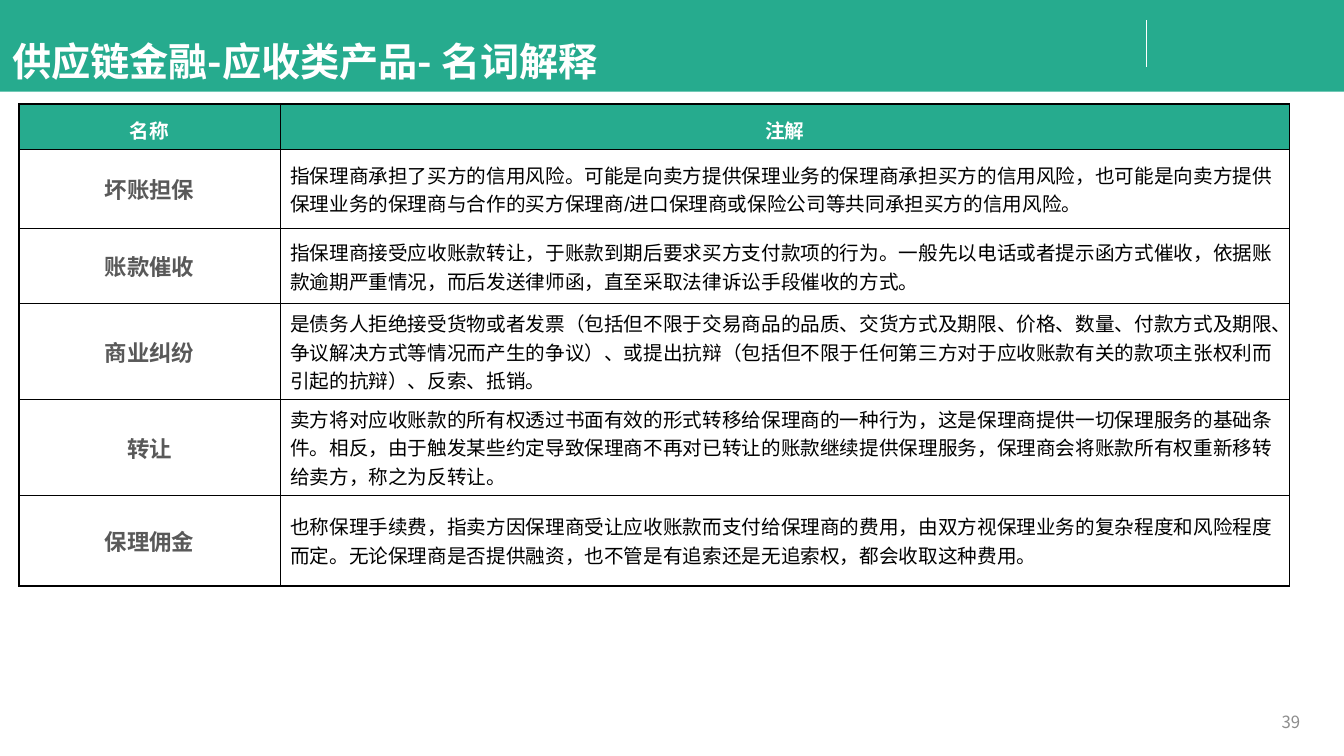
import pptx
import pptx.util
import pptx.dml.color
import pptx.enum.lang
import pptx.enum.shapes
import pptx.enum.text
import pptx.oxml.ns
import lxml.etree

Cm = pptx.util.Cm
Pt = pptx.util.Pt
Align = pptx.enum.text.PP_ALIGN
Anchor = pptx.enum.text.MSO_ANCHOR
qn = pptx.oxml.ns.qn

GREEN, WHITE, BLACK = "26AB8E", "FFFFFF", "000000"
DARK_GREY, LIGHT_GREY = "595959", "8C8C8C"
CHINESE_FONT = "Noto Sans CJK SC"

TERMS = [
    ("坏账担保", "指保理商承担了买方的信用风险。可能是向卖方提供保理业务的保理商承担买方的信用风险，也可能是向卖方提供保理业务的保理商与合作的买方保理商/进口保理商或保险公司等共同承担买方的信用风险。"),
    ("账款催收", "指保理商接受应收账款转让，于账款到期后要求买方支付款项的行为。一般先以电话或者提示函方式催收，依据账款逾期严重情况，而后发送律师函，直至采取法律诉讼手段催收的方式。"),
    ("商业纠纷", "是债务人拒绝接受货物或者发票（包括但不限于交易商品的品质、交货方式及期限、价格、数量、付款方式及期限、争议解决方式等情况而产生的争议）、或提出抗辩（包括但不限于任何第三方对于应收账款有关的款项主张权利而引起的抗辩）、反索、抵销。"),
    ("转让", "卖方将对应收账款的所有权透过书面有效的形式转移给保理商的一种行为，这是保理商提供一切保理服务的基础条件。相反，由于触发某些约定导致保理商不再对已转让的账款继续提供保理服务，保理商会将账款所有权重新移转给卖方，称之为反转让。"),
    ("保理佣金", "也称保理手续费，指卖方因保理商受让应收账款而支付给保理商的费用，由双方视保理业务的复杂程度和风险程度而定。无论保理商是否提供融资，也不管是有追索还是无追索权，都会收取这种费用。"),
]


def color(value):
    return pptx.dml.color.RGBColor.from_string(value)


def write(frame, text, size=14, ink=BLACK, bold=False, align=Align.LEFT,
          latin=CHINESE_FONT):
    frame.word_wrap = True
    para = frame.paragraphs[0]
    para.alignment = align
    span = para.add_run()
    span.text = text
    font = span.font
    font.size = Pt(size)
    font.bold = bold
    font.name = latin
    font.color.rgb = color(ink)
    font.language_id = pptx.enum.lang.MSO_LANGUAGE_ID.SIMPLIFIED_CHINESE
    properties = span._r.get_or_add_rPr()
    properties.find(qn("a:latin")).addnext(
        properties.makeelement(qn("a:ea"), {"typeface": CHINESE_FONT}))


class GlossaryPage:
    def __init__(self, deck):
        self.page = deck.slides.add_slide(deck.slide_layouts[5])
        self.shapes = self.page.shapes

    def band(self, left, top, width, height, fill):
        box = self.shapes.add_shape(
            pptx.enum.shapes.MSO_SHAPE.RECTANGLE,
            Cm(left), Cm(top), Cm(width), Cm(height))
        box.shadow.inherit = False
        box.fill.solid()
        box.fill.fore_color.rgb = color(fill)
        box.line.fill.background()

    def divider(self, left, top, bottom, ink, weight):
        line = self.shapes.add_connector(
            pptx.enum.shapes.MSO_CONNECTOR.STRAIGHT,
            Cm(left), Cm(top), Cm(left), Cm(bottom))
        line.line.color.rgb = color(ink)
        line.line.width = Pt(weight)
        lxml.etree.SubElement(line._element.spPr, qn("a:effectLst"))

    def title(self, text, left, top, width, height):
        box = self.shapes.title
        box.left, box.top = Cm(left), Cm(top)
        box.width, box.height = Cm(width), Cm(height)
        self.shapes._spTree.append(box._element)
        frame = box.text_frame
        frame.auto_size = pptx.enum.text.MSO_AUTO_SIZE.NONE
        frame.vertical_anchor = Anchor.MIDDLE
        write(frame, text, size=28, ink=WHITE, bold=True)

    def page_number(self, text, left, top, width, height):
        box = self.shapes.add_textbox(Cm(left), Cm(top), Cm(width), Cm(height))
        box.text_frame.vertical_anchor = Anchor.MIDDLE
        write(box.text_frame, text, size=12, ink=LIGHT_GREY, align=Align.RIGHT)

    def cell(self, cell, text, anchor=Anchor.MIDDLE, fill=None, **style):
        properties = cell._tc.get_or_add_tcPr()
        for side in ("a:lnL", "a:lnR", "a:lnT", "a:lnB"):
            border = lxml.etree.SubElement(properties, qn(side), w=str(Pt(1)))
            paint = lxml.etree.SubElement(border, qn("a:solidFill"))
            lxml.etree.SubElement(paint, qn("a:srgbClr"), val=BLACK)
        if fill:
            cell.fill.solid()
            cell.fill.fore_color.rgb = color(fill)
        else:
            cell.fill.background()
        cell.vertical_anchor = anchor
        write(cell.text_frame, text, **style)

    def glossary(self, headings, terms, left, top, widths, heights):
        table = self.shapes.add_table(
            len(heights), len(widths), Cm(left), Cm(top),
            Cm(sum(widths)), Cm(sum(heights))).table
        table.horz_banding = False
        for column, width in zip(table.columns, widths):
            column.width = Cm(width)
        for row, height in zip(table.rows, heights):
            row.height = Cm(height)
        for index, heading in enumerate(headings):
            self.cell(table.cell(0, index), heading, anchor=Anchor.BOTTOM,
                      fill=GREEN, ink=WHITE, bold=True, align=Align.CENTER)
        for index, (name, meaning) in enumerate(terms, start=1):
            self.cell(table.cell(index, 0), name, size=16, ink=DARK_GREY,
                      bold=True, align=Align.CENTER, latin="Arial")
            self.cell(table.cell(index, 1), meaning, latin="Arial")


def main():
    deck = pptx.Presentation()
    deck.slide_width, deck.slide_height = Cm(33.87), Cm(19.05)
    page = GlossaryPage(deck)
    page.band(0, 0, 33.87, 2.31, GREEN)
    page.divider(28.88, 0.51, 1.7, WHITE, 0.5)
    page.page_number("39", 25.96, 17.78, 7.06, 0.84)
    page.title("供应链金融-应收类产品- 名词解释", 0.05, 0.58, 24.79, 1.9)
    page.glossary(("名称", "注解"), TERMS, 0.48, 2.62,
                  widths=(6.58, 25.43),
                  heights=(1.14, 2.01, 1.88, 2.06, 1.98, 2.29))
    deck.save("out.pptx")


if __name__ == "__main__":
    main()
